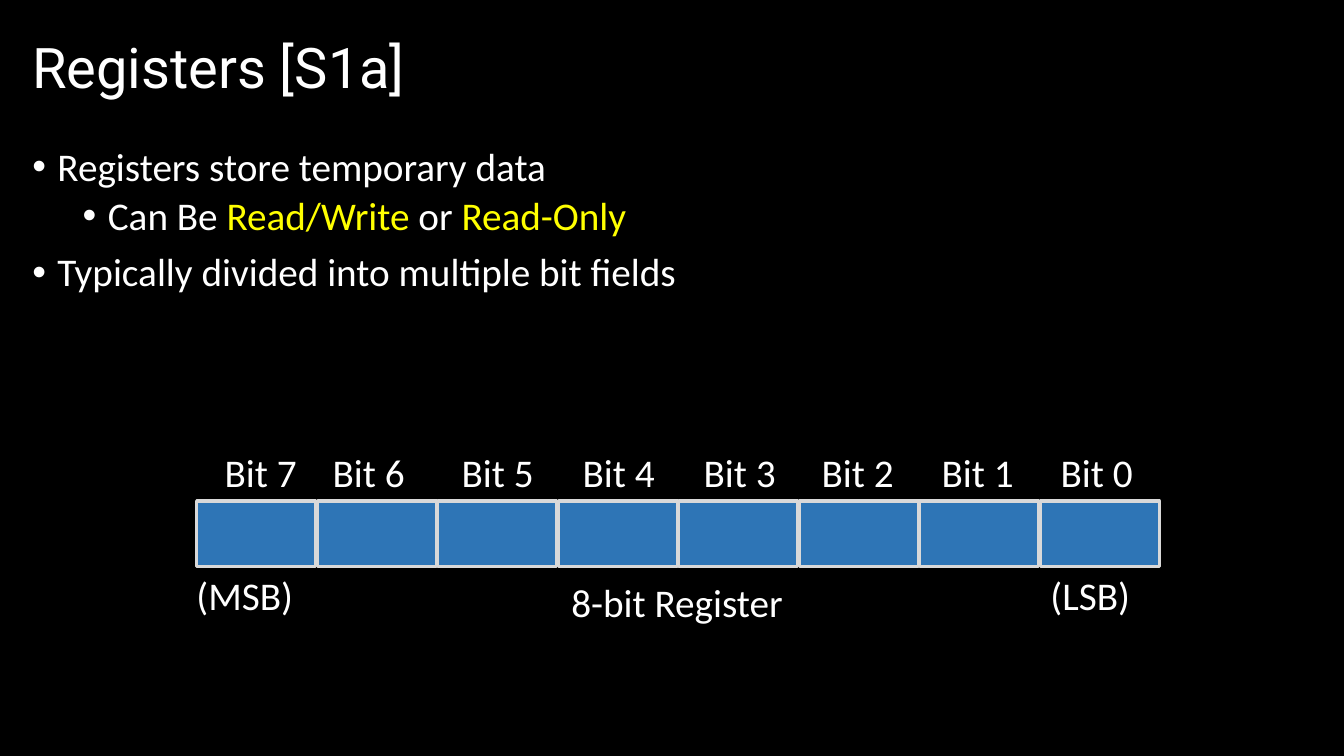
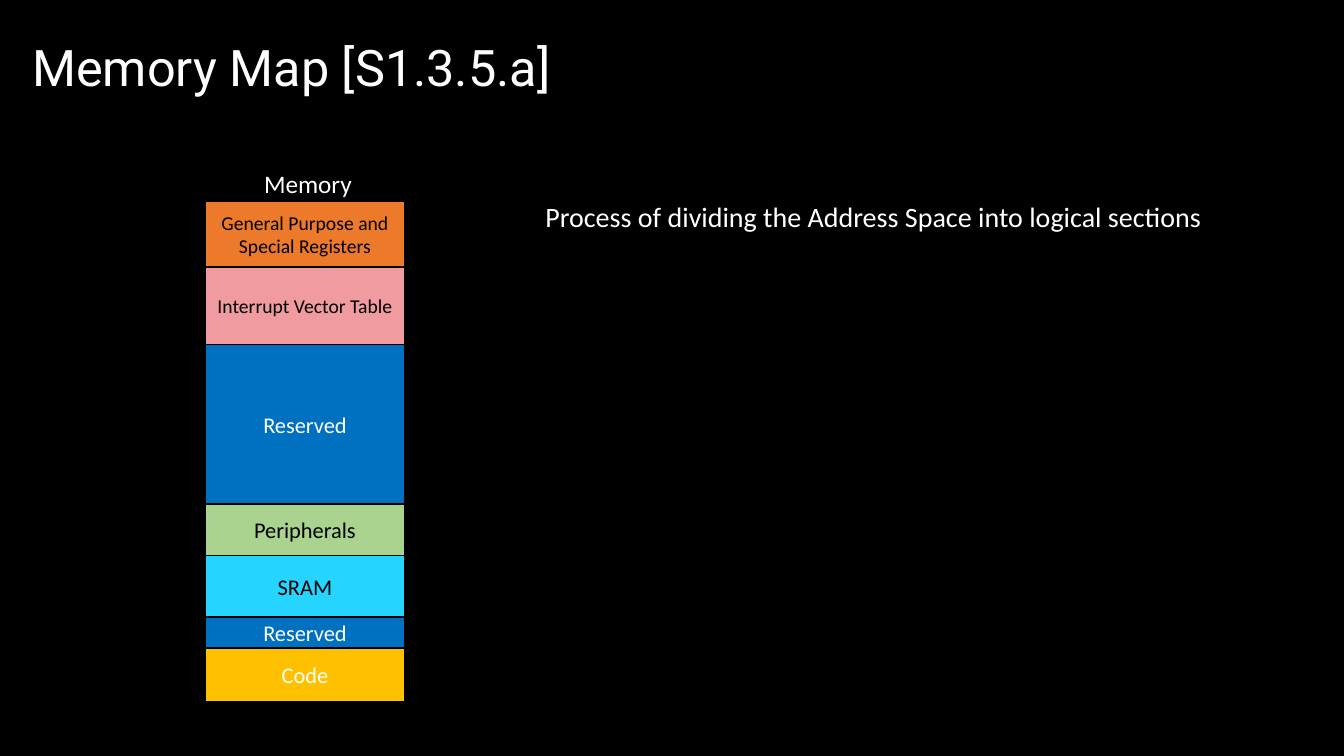
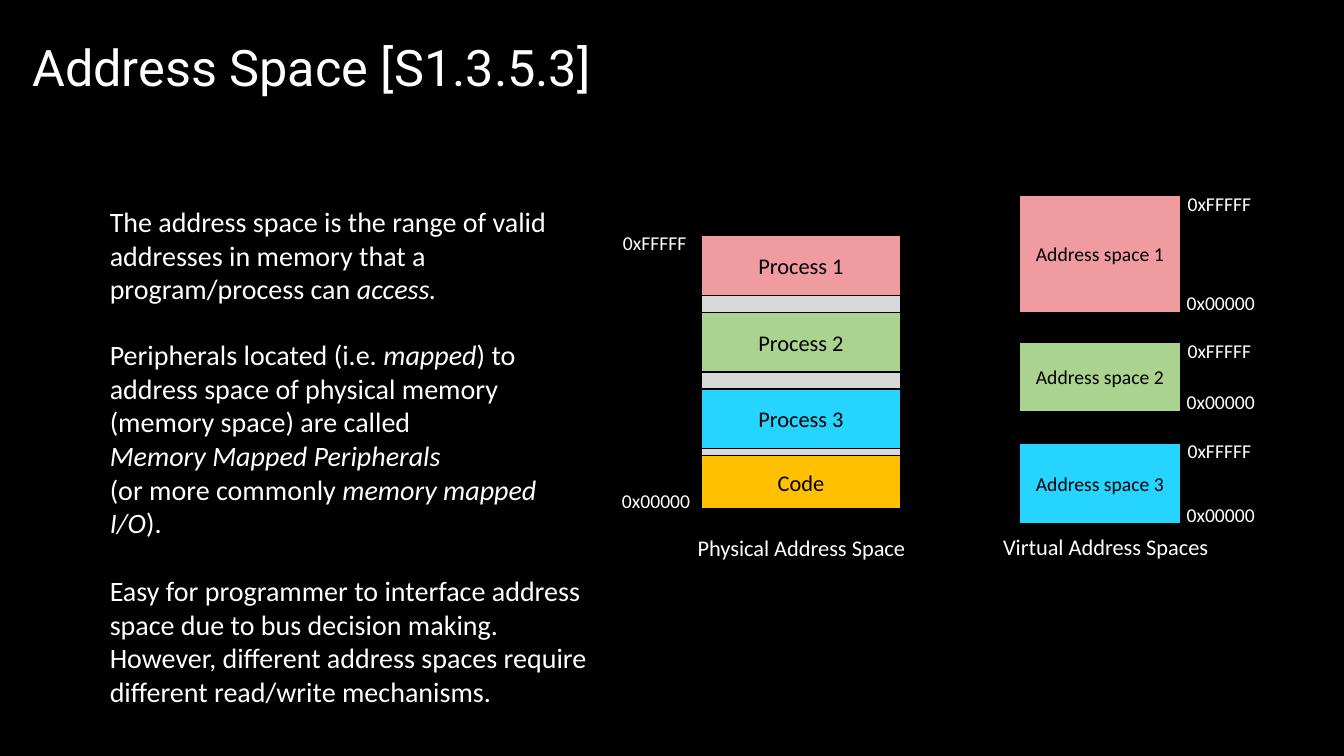
"""Build three slides on registers, memory maps and address spaces."""
from dataclasses import dataclass

import pptx
import pptx.dml.color
import pptx.enum.shapes
import pptx.enum.text
import pptx.oxml.ns
import pptx.oxml.xmlchemy
import pptx.presentation
import pptx.shapes.base
import pptx.slide
import pptx.text.text
import pptx.util
from lxml import etree

RGB = pptx.dml.color.RGBColor
ALIGN = pptx.enum.text.PP_ALIGN
ANCHOR = pptx.enum.text.MSO_ANCHOR
FIT = pptx.enum.text.MSO_AUTO_SIZE

BLACK = RGB(0x00, 0x00, 0x00)
WHITE = RGB(0xFF, 0xFF, 0xFF)
YELLOW = RGB(0xFF, 0xFF, 0x00)
GREY = RGB(0xD9, 0xD9, 0xD9)
STEEL = RGB(0x2E, 0x75, 0xB6)
BLUE = RGB(0x00, 0x70, 0xC0)
CYAN = RGB(0x25, 0xD4, 0xFF)
GOLD = RGB(0xFF, 0xC0, 0x00)
ORANGE = RGB(0xED, 0x7A, 0x2B)
GREEN = RGB(0xA9, 0xD3, 0x8E)
PINK = RGB(0xEF, 0x9B, 0xA0)

PX = 9144
HEAD_FONT = "Roboto"
BODY_FONT = "Calibri"
TITLE_ONLY = 5
TITLE_LIST = 1


@dataclass(frozen=True)
class Span:
    """A run of text with its own accent."""
    text: str
    color: RGB | None = None
    slant: bool = False


@dataclass(frozen=True)
class Item:
    """A bulleted line at a list level."""
    level: int
    spans: list[Span]


@dataclass(frozen=True)
class Block:
    """A filled rectangle with an optional caption."""
    top: int
    high: int
    fill: RGB
    text: str = ""
    size: int = 16
    ink: RGB = BLACK


@dataclass(frozen=True)
class Label:
    """A text box of one or more paragraphs."""
    left: int
    top: int
    wide: int
    high: int
    size: int
    paras: list[list[Span]]
    align: ALIGN = ALIGN.LEFT


def place(shape: pptx.shapes.base.BaseShape, left: int, top: int, wide: int, high: int) -> None:
    """Move and size a shape in px."""
    shape.left, shape.top, shape.width, shape.height = (n * PX for n in (left, top, wide, high))


def style(para: pptx.text.text._Paragraph, face: str, size: int, ink: RGB, align: ALIGN) -> None:
    """Set the font and alignment of a paragraph."""
    para.alignment = align
    para.font.name = face
    para.font.size = pptx.util.Pt(size)
    para.font.color.rgb = ink


def write(para: pptx.text.text._Paragraph, spans: list[Span]) -> None:
    """Add runs to a paragraph."""
    for span in spans:
        run = para.add_run()
        run.text = span.text
        if span.color is not None:
            run.font.color.rgb = span.color
        if span.slant:
            run.font.italic = True


def start(deck: pptx.presentation.Presentation, layout: int, text: str, size: int) -> pptx.slide.Slide:
    """Add a slide with its title."""
    slide = deck.slides.add_slide(deck.slide_layouts[layout])
    title = slide.shapes.title
    place(title, 22, 21, 1289, 97)
    frame = title.text_frame
    frame.auto_size = FIT.NONE
    frame.vertical_anchor = ANCHOR.MIDDLE
    para = frame.paragraphs[0]
    para.line_spacing = 0.9
    write(para, [Span(text)])
    style(para, HEAD_FONT, size, WHITE, ALIGN.LEFT)
    return slide


def bullets(slide: pptx.slide.Slide, items: list[Item]) -> None:
    """Fill the body placeholder with a list."""
    body = slide.placeholders[1]
    place(body, 22, 141, 1229, 259)
    frame = body.text_frame
    frame.auto_size = FIT.NONE
    for i, item in enumerate(items):
        para = frame.add_paragraph() if i else frame.paragraphs[0]
        para.level = item.level
        para.line_spacing = 0.9
        para.space_before = pptx.util.Pt((5 if item.level else 10) if i else 0)
        props = para._p.get_or_add_pPr()
        props.set("marL", str((25 + 50 * item.level) * PX))
        props.set("indent", str(-25 * PX))
        etree.SubElement(props, pptx.oxml.ns.qn("a:buFont")).set("typeface", "Arial")
        etree.SubElement(props, pptx.oxml.ns.qn("a:buChar")).set("char", "•")
        write(para, item.spans)
        style(para, BODY_FONT, 28, WHITE, ALIGN.LEFT)


def draw(slide: pptx.slide.Slide, left: int, wide: int, block: Block,
         edge: RGB = BLACK, weight: float = 1) -> None:
    """Draw a block."""
    kind = pptx.enum.shapes.MSO_SHAPE.RECTANGLE
    shape = slide.shapes.add_shape(kind, left * PX, block.top * PX, wide * PX, block.high * PX)
    shape.shadow.inherit = False
    shape.fill.solid()
    shape.fill.fore_color.rgb = block.fill
    shape.line.color.rgb = edge
    shape.line.width = pptx.util.Pt(weight)
    if block.text:
        frame = shape.text_frame
        frame.word_wrap = True
        frame.vertical_anchor = ANCHOR.MIDDLE
        write(frame.paragraphs[0], [Span(block.text)])
        style(frame.paragraphs[0], BODY_FONT, block.size, block.ink, ALIGN.CENTER)


def note(slide: pptx.slide.Slide, label: Label) -> None:
    """Draw a label."""
    box = slide.shapes.add_textbox(0, 0, 0, 0)
    place(box, label.left, label.top, label.wide, label.high)
    frame = box.text_frame
    frame.word_wrap = True
    for i, spans in enumerate(label.paras):
        para = frame.add_paragraph() if i else frame.paragraphs[0]
        write(para, spans)
        style(para, BODY_FONT, label.size, WHITE, label.align)


def bounds(slide: pptx.slide.Slide, left: int, top: int, base: int) -> None:
    """Mark the last and first address beside a block."""
    note(slide, Label(left + 1, top - 9, 99, 34, 14, [[Span("0xFFFFF")]]))
    note(slide, Label(left, base - 26, 99, 34, 14, [[Span("0x00000")]]))


def registers(deck: pptx.presentation.Presentation) -> None:
    """Build the slide on registers."""
    slide = start(deck, TITLE_LIST, "Registers [S1a]", 40)
    bullets(slide, [
        Item(0, [Span("Registers store temporary data")]),
        Item(1, [Span("Can Be "), Span("Read/Write", YELLOW),
                 Span(" or "), Span("Read-Only", YELLOW)]),
        Item(0, [Span("Typically divided into multiple bit fields")]),
    ])
    for i, left in enumerate((213, 320, 448, 568, 688, 805, 924, 1042)):
        draw(slide, 195 + round(i * 837 / 7), 118, Block(497, 65, STEEL), GREY, 2.25)
        note(slide, Label(left, 440, 121, 57, 28, [[Span(f"Bit {7 - i}")]]))
    note(slide, Label(544, 569, 255, 57, 28, [[Span("8-bit Register")]], ALIGN.CENTER))
    for left, text in ((185, "(MSB)"), (1032, "(LSB)")):
        note(slide, Label(left, 562, 139, 57, 28, [[Span(text)]]))


def memory(deck: pptx.presentation.Presentation) -> None:
    """Build the slide on the memory map."""
    slide = start(deck, TITLE_ONLY, "Memory Map [S1.3.5.a]", 36)
    note(slide, Label(252, 162, 118, 40, 18, [[Span("Memory")]]))
    top = 200
    for high, fill, text, size, ink in (
        (65, ORANGE, "General Purpose and Special Registers", 14, BLACK),
        (77, PINK, "Interrupt Vector Table", 14, BLACK),
        (158, BLUE, "Reserved", 16, WHITE),
        (51, GREEN, "Peripherals", 16, BLACK),
        (61, CYAN, "SRAM", 16, BLACK),
        (31, BLUE, "Reserved", 16, WHITE),
        (53, GOLD, "Code", 16, WHITE),
    ):
        draw(slide, 204, 197, Block(top, high, fill, text, size, ink))
        top += high
    note(slide, Label(531, 193, 689, 44, 20, [
        [Span("Process of dividing the Address Space into logical sections")]]))


def spaces(deck: pptx.presentation.Presentation) -> None:
    """Build the slide on address spaces."""
    slide = start(deck, TITLE_ONLY, "Address Space [S1.3.5.3]", 36)
    for label in (
        Label(99, 198, 468, 111, 20, [
            [Span("The address space is the range of valid addresses in memory "
                  "that a program/process can "), Span("access.", slant=True)]]),
        Label(99, 330, 498, 212, 20, [
            [Span("Peripherals located (i.e. "), Span("mapped", slant=True),
             Span(") to address space of physical memory (memory space) are called")],
            [Span("Memory Mapped Peripherals", slant=True)],
            [Span("(or more commonly "), Span("memory mapped I/O", slant=True), Span(").")]]),
        Label(99, 564, 508, 145, 20, [
            [Span("Easy for programmer to interface address space due to bus decision making.")],
            [Span("However, different address spaces require different read/write mechanisms.")]]),
        Label(682, 525, 240, 37, 16, [[Span("Physical Address Space")]]),
        Label(985, 524, 240, 37, 16, [[Span("Virtual Address Spaces")]]),
    ):
        note(slide, label)
    for block in (
        Block(233, 273, GREY),
        Block(233, 60, PINK, "Process 1"),
        Block(310, 59, GREEN, "Process 2"),
        Block(386, 59, CYAN, "Process 3"),
        Block(452, 53, GOLD, "Code"),
    ):
        draw(slide, 696, 197, block)
    bounds(slide, 607, 233, 506)
    for block in (
        Block(194, 116, PINK, "Address space 1", 14),
        Block(340, 68, GREEN, "Address space 2", 14),
        Block(440, 80, CYAN, "Address space 3", 14),
    ):
        draw(slide, 1011, 160, block)
        bounds(slide, 1167, block.top, block.top + block.high)


def main() -> None:
    """Build and save the deck."""
    deck = pptx.Presentation()
    deck.slide_width, deck.slide_height = 1333 * PX, 750 * PX
    back = deck.slide_master.background.fill
    back.solid()
    back.fore_color.rgb = BLACK
    for build in (registers, memory, spaces):
        build(deck)
    deck.save("out.pptx")


if __name__ == "__main__":
    main()
